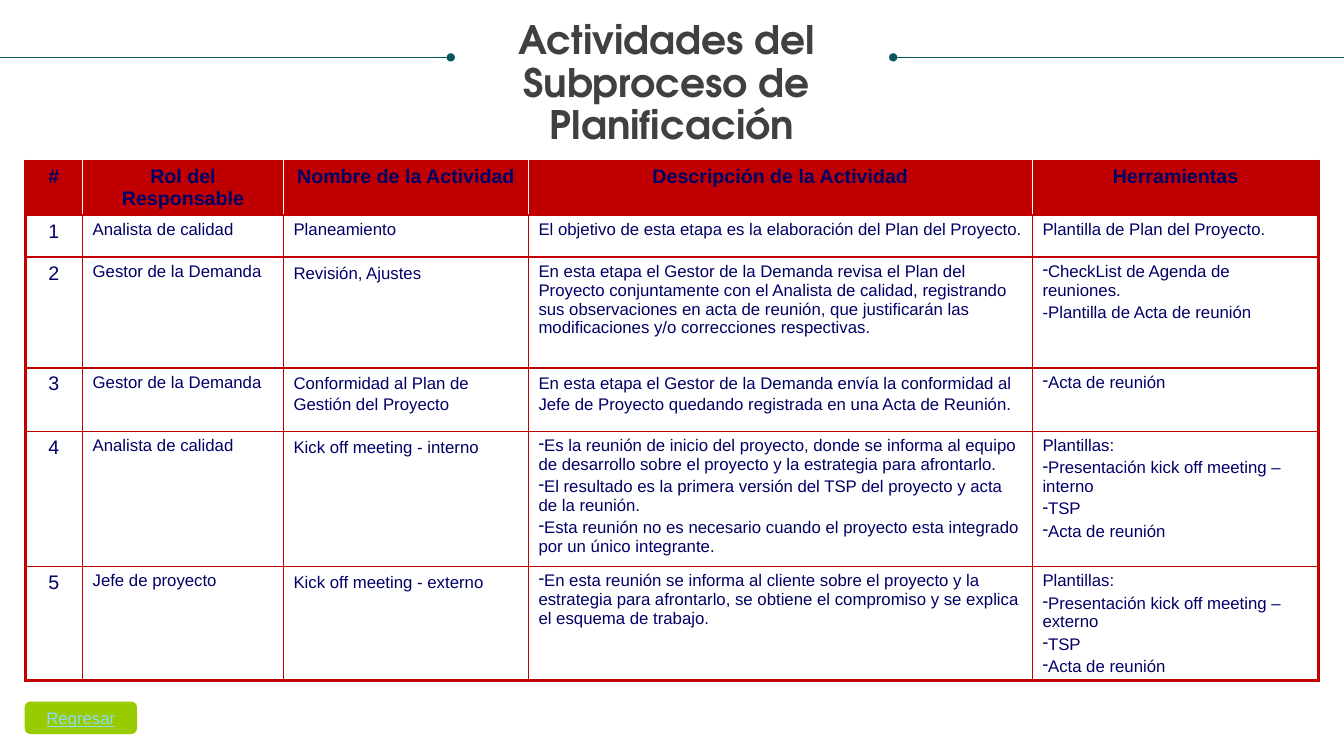
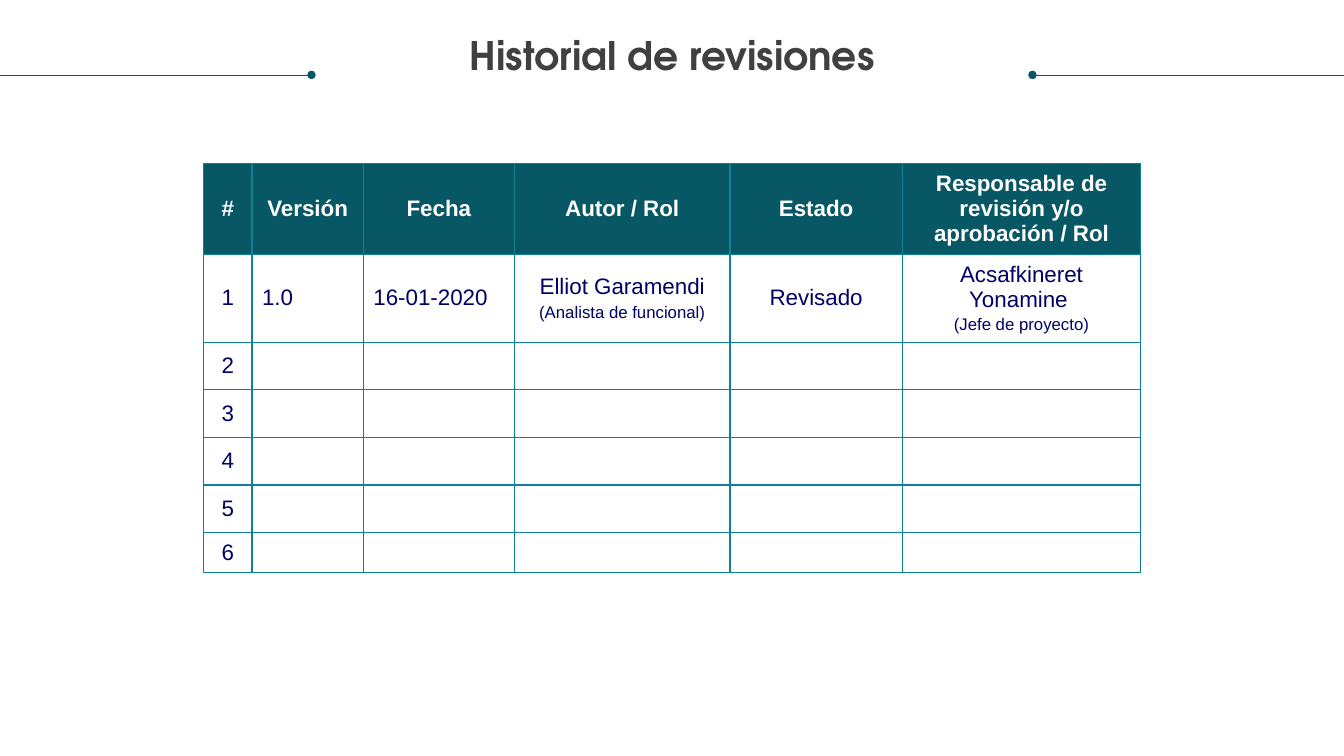
from dataclasses import dataclass
from functools import partial

from lxml.etree import SubElement
from pptx import Presentation
from pptx.dml.color import RGBColor
from pptx.enum.shapes import MSO_CONNECTOR, MSO_SHAPE
from pptx.enum.text import MSO_ANCHOR, PP_ALIGN
from pptx.oxml.ns import qn
from pptx.util import Pt


@dataclass(frozen=True)
class Theme:
    title_font: str = "TeX Gyre Adventor"
    body_font: str = "Arial"
    title_size: float = 28
    history_size: float = 16
    heading_size: float = 14
    text_size: float = 12
    title: str = "404040"
    teal: str = "085764"
    light_teal: str = "0D8295"
    red: str = "C00000"
    navy: str = "000066"
    white: str = "FFFFFF"
    green: str = "99CC00"
    link: str = "8ED9F6"


@dataclass(frozen=True)
class Line:
    """One paragraph of a table cell."""
    text: str
    size: float = None
    bullet: bool = False
    loose: bool = False


@dataclass(frozen=True)
class TableStyle:
    """Colours, type sizes and border widths of a table."""
    header_fill: str
    header_color: str
    header_divider: tuple
    border: str
    outer: float
    across: float
    down: float
    number_size: float
    body_size: float
    anchor: MSO_ANCHOR
    left_columns: tuple


THEME = Theme()
WIDTH, HEIGHT = 960, 540
MARGIN = 18

Dash = partial(Line, bullet=True)
Loose = partial(Line, loose=True)
Small = partial(Line, size=THEME.text_size)


def apply(target, **values):
    for name, value in values.items():
        setattr(target, name, value)


class Deck:
    """Holds the theme, the presentation and the current slide."""

    def __init__(self, theme):
        self.theme = theme
        self.presentation = Presentation()
        apply(self.presentation, slide_width=Pt(WIDTH), slide_height=Pt(HEIGHT))
        self.slide = None

    def new_slide(self):
        self.slide = self.presentation.slides.add_slide(self.presentation.slide_layouts[6])

    def add_text(self, paragraph, text, size, color, font=None, align=PP_ALIGN.CENTER, **extra):
        paragraph.alignment = align
        run = paragraph.add_run()
        run.text = text
        apply(run.font, name=font or self.theme.body_font, size=Pt(size), **extra)
        run.font.color.rgb = RGBColor.from_string(color)

    # Title between two rules that end in a dot
    def title(self, lines, top, height, rule_top, rule_length):
        theme = self.theme
        for edge, inner in ((0, rule_length), (WIDTH, WIDTH - rule_length)):
            self.rule(edge, inner, rule_top)
        box = self.slide.shapes.add_textbox(Pt(MARGIN), Pt(top), Pt(WIDTH - 2 * MARGIN), Pt(height))
        frame = box.text_frame
        apply(frame, word_wrap=True, margin_left=0, margin_right=0, margin_top=0, margin_bottom=0)
        for index, text in enumerate(lines):
            paragraph = frame.add_paragraph() if index else frame.paragraphs[0]
            paragraph.line_spacing = 0.9
            self.add_text(paragraph, text, theme.title_size, theme.title, theme.title_font, bold=True)

    def rule(self, start, end, top):
        connector = self.slide.shapes.add_connector(
            MSO_CONNECTOR.STRAIGHT, Pt(start), Pt(top), Pt(end), Pt(top))
        connector.line.width = Pt(0.5)
        connector.line.color.rgb = RGBColor.from_string(self.theme.teal)
        properties = connector.line._get_or_add_ln()
        SubElement(properties, qn("a:tailEnd"), type="oval")
        SubElement(connector._element.spPr, qn("a:effectLst"))

    # Rounded button
    def button(self, text, left, top, width, height):
        theme = self.theme
        shape = self.slide.shapes.add_shape(
            MSO_SHAPE.FLOWCHART_ALTERNATE_PROCESS, Pt(left), Pt(top), Pt(width), Pt(height))
        shape.shadow.inherit = False
        shape.fill.solid()
        for color_format in (shape.fill.fore_color, shape.line.color):
            color_format.rgb = RGBColor.from_string(theme.green)
        shape.line.width = Pt(0.75)
        apply(shape.text_frame, word_wrap=False, vertical_anchor=MSO_ANCHOR.MIDDLE)
        self.add_text(shape.text_frame.paragraphs[0], text, theme.text_size, theme.link,
                      underline=True)

    # Table with a header row
    def table(self, rows, left, top, widths, heights, style):
        frame = self.slide.shapes.add_table(
            len(rows), len(widths), Pt(left), Pt(top), Pt(sum(widths)), Pt(sum(heights)))
        table = frame.table
        apply(table, first_row=False, horz_banding=False)
        for column, width in zip(table.columns, widths):
            column.width = Pt(width)
        for row, height in zip(table.rows, heights):
            row.height = Pt(height)
        last_row, last_column = len(rows) - 1, len(widths) - 1
        outer = (style.border, style.outer)
        across = (style.border, style.across)
        for row_index, row in enumerate(rows):
            header = row_index == 0
            down = style.header_divider if header else (style.border, style.down)
            for column_index, content in enumerate(row):
                cell = table.cell(row_index, column_index)
                self.borders(cell, {
                    "L": outer if column_index == 0 else down,
                    "R": outer if column_index == last_column else down,
                    "T": outer if header else across,
                    "B": outer if row_index == last_row else across,
                })
                if header:
                    cell.fill.solid()
                    cell.fill.fore_color.rgb = RGBColor.from_string(style.header_fill)
                else:
                    cell.fill.background()
                cell.vertical_anchor = style.anchor
                self.cell_text(cell, content, header, column_index, style)

    def borders(self, cell, edges):
        properties = cell._tc.get_or_add_tcPr()
        for side, (color, width) in edges.items():
            line = SubElement(properties, qn(f"a:ln{side}"), w=str(Pt(width)))
            fill = SubElement(line, qn("a:solidFill"))
            SubElement(fill, qn("a:srgbClr"), val=color)

    def cell_text(self, cell, content, header, column_index, style):
        lines = content if isinstance(content, tuple) else (content,)
        default_size = style.number_size if header or column_index == 0 else style.body_size
        left = not header and column_index in style.left_columns
        for index, line in enumerate(lines):
            line = line if isinstance(line, Line) else Line(line)
            paragraph = cell.text_frame.add_paragraph() if index else cell.text_frame.paragraphs[0]
            size = line.size or default_size
            if line.loose:
                paragraph.line_spacing = 1.1
            else:
                paragraph.space_before = Pt(size * 0.2)
            if line.bullet:
                properties = paragraph._p.get_or_add_pPr()
                for name in ("marL", "indent"):
                    properties.set(name, "0")
                SubElement(properties, qn("a:buChar"), char="-")
            self.add_text(paragraph, line.text, size,
                          style.header_color if header else self.theme.navy,
                          align=PP_ALIGN.LEFT if left else PP_ALIGN.CENTER, bold=header)


ACTIVITY_STYLE = TableStyle(
    header_fill=THEME.red, header_color=THEME.navy, header_divider=(THEME.white, 1.5),
    border=THEME.red, outer=2.25, across=1.5, down=1,
    number_size=THEME.heading_size, body_size=THEME.text_size,
    anchor=MSO_ANCHOR.TOP, left_columns=(1, 2, 3, 4))

HISTORY_STYLE = TableStyle(
    header_fill=THEME.teal, header_color=THEME.white, header_divider=(THEME.light_teal, 1),
    border=THEME.light_teal, outer=1, across=1, down=1,
    number_size=THEME.history_size, body_size=THEME.history_size,
    anchor=MSO_ANCHOR.MIDDLE, left_columns=(1, 2))


def kickoff_tools(kind):
    return ("Plantillas:", Dash(f"Presentación kick off meeting – {kind}"),
            Dash("TSP"), Dash("Acta de reunión"))


ACTIVITIES = [
    ("#", "Rol del Responsable", "Nombre de la Actividad", "Descripción de la Actividad",
     "Herramientas"),
    ("1", "Analista de calidad", "Planeamiento",
     "El objetivo de esta etapa es la elaboración del Plan del Proyecto.",
     "Plantilla de Plan del Proyecto."),
    ("2", "Gestor de la Demanda", Loose("Revisión, Ajustes"),
     "En esta etapa el Gestor de la Demanda revisa el Plan del Proyecto conjuntamente con el "
     "Analista de calidad, registrando sus observaciones en acta de reunión, que justificarán "
     "las modificaciones y/o correcciones respectivas.",
     (Dash("CheckList de Agenda de reuniones."), "-Plantilla de Acta de reunión")),
    ("3", "Gestor de la Demanda", Loose("Conformidad al Plan de Gestión del Proyecto"),
     Loose("En esta etapa el Gestor de la Demanda envía la conformidad al Jefe de Proyecto "
           "quedando registrada en una Acta de Reunión."),
     Dash("Acta de reunión")),
    ("4", "Analista de calidad", Loose("Kick off meeting - interno"),
     (Dash("Es la reunión de inicio del proyecto, donde se informa al equipo de desarrollo "
           "sobre el proyecto y la estrategia para afrontarlo."),
      Dash("El resultado es la primera versión del TSP del proyecto y acta de la reunión."),
      Dash("Esta reunión no es necesario cuando el proyecto esta integrado por un único "
           "integrante.")),
     kickoff_tools("interno")),
    ("5", "Jefe de proyecto", Loose("Kick off meeting - externo"),
     Dash("En esta reunión se informa al cliente sobre el proyecto y la estrategia para "
          "afrontarlo, se obtiene el compromiso y se explica el esquema de trabajo."),
     kickoff_tools("externo")),
]

REVISIONS = [
    ("#", "Versión", "Fecha", "Autor / Rol", "Estado",
     "Responsable de revisión y/o aprobación / Rol"),
    ("1", "1.0", "16-01-2020", ("Elliot Garamendi", Small("(Analista de funcional)")),
     "Revisado", ("Acsafkineret Yonamine ", Small("(Jefe de proyecto)"))),
    *[(str(number), *[""] * 5) for number in range(2, 7)],
]


def main():
    deck = Deck(THEME)

    # Planning activities
    deck.new_slide()
    deck.table(ACTIVITIES, MARGIN, 115, [41, 143.5, 175, 360, 204.5],
               [36, 30, 79, 45.5, 96.5, 77], ACTIVITY_STYLE)
    deck.button("Regresar", MARGIN, 501.5, 79.5, 22.5)
    deck.title(["Actividades del ", "Subproceso de ", "Planificación"], 15, 92, 41, 322)

    # Revision history
    deck.new_slide()
    deck.table(REVISIONS, 145.5, 116.5, [34.5, 79.5, 108, 154, 123, 170.5],
               [65, 63, *[34] * 4, 28.5], HISTORY_STYLE)
    deck.title(["Historial de revisiones"], 26.5, 30, 53.5, 222.5)

    deck.presentation.save("out.pptx")


if __name__ == "__main__":
    main()
